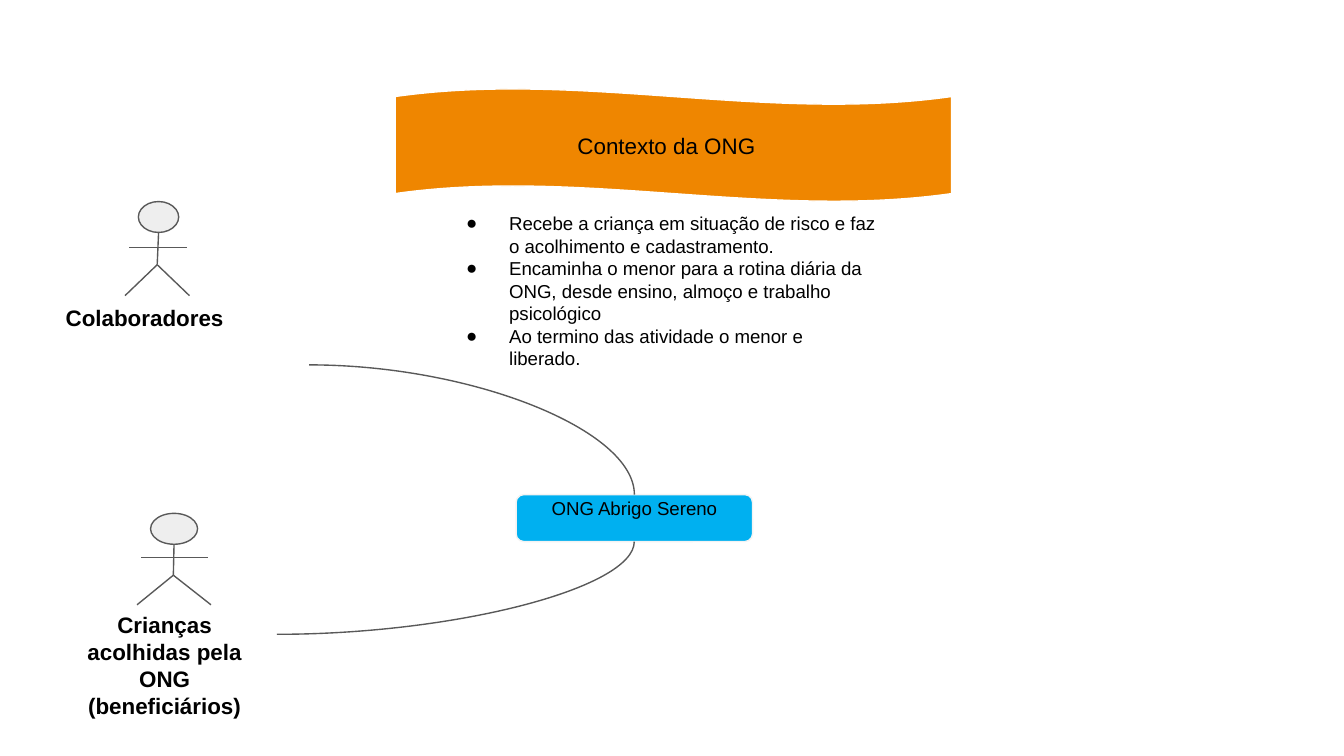
from lxml import etree
from pptx import Presentation
from pptx.dml.color import RGBColor
from pptx.enum.shapes import MSO_CONNECTOR, MSO_SHAPE
from pptx.enum.text import MSO_ANCHOR, PP_ALIGN
from pptx.oxml.ns import qn
from pptx.util import Inches, Pt

WAVE, ROUND, HEAD = MSO_SHAPE.WAVE, MSO_SHAPE.ROUNDED_RECTANGLE, MSO_SHAPE.FLOWCHART_CONNECTOR
LINE, CURVE = MSO_CONNECTOR.STRAIGHT, MSO_CONNECTOR.CURVE
LEFT, CENTER = PP_ALIGN.LEFT, PP_ALIGN.CENTER
TOP, MIDDLE = MSO_ANCHOR.TOP, MSO_ANCHOR.MIDDLE
ORANGE = RGBColor(0xEF, 0x86, 0x00)
BLUE = RGBColor(0x00, 0xB0, 0xF0)
PALE = RGBColor(0xEE, 0xEE, 0xEE)
MIST = RGBColor(0xF3, 0xF3, 0xF3)
GRAY = RGBColor(0x59, 0x59, 0x59)
WHITE = RGBColor(0xFF, 0xFF, 0xFF)
BLACK = RGBColor(0x00, 0x00, 0x00)
STEPS = [
    "Recebe a criança em situação de risco e faz o acolhimento e cadastramento.",
    "Encaminha o menor para a rotina diária da ONG, desde ensino, almoço e trabalho psicológico",
    "Ao termino das atividade o menor e liberado.",
]


def write(shape, *texts, size=12, bold=False, align=CENTER, anchor=TOP,
          pads=(0.1, 0.1, 0.1, 0.1), bullet=None):
    """Fill a shape with one formatted paragraph per text."""
    frame = shape.text_frame
    frame.word_wrap = True
    frame.vertical_anchor = anchor
    (frame.margin_left, frame.margin_top,
     frame.margin_right, frame.margin_bottom) = map(Inches, pads)
    for i, text in enumerate(texts):
        para = frame.add_paragraph() if i else frame.paragraphs[0]
        para.alignment = align
        run = para.add_run()
        run.text = text
        font = run.font
        font.name, font.size, font.bold = "Arial", Pt(size), bold
        font.color.rgb = BLACK
        if bullet:
            add_dot(para, bullet)


def add_dot(para, mark):
    """Give a paragraph a bullet and a hanging indent."""
    props = para._p.get_or_add_pPr()
    props.set("marL", str(Inches(0.5)))
    props.set("indent", str(Inches(-0.32)))
    tint = etree.SubElement(props, qn("a:buClr"))
    etree.SubElement(tint, qn("a:srgbClr")).set("val", str(BLACK))
    etree.SubElement(props, qn("a:buFont")).set("typeface", "Arial")
    etree.SubElement(props, qn("a:buChar")).set("char", mark)


def add_form(shapes, kind, box, fill, edge, *adjusts):
    """Add a filled preset shape."""
    form = shapes.add_shape(kind, *map(Inches, box))
    form.shadow.inherit = False
    form.fill.solid()
    form.fill.fore_color.rgb = fill
    form.line.color.rgb = edge
    form.line.width = Pt(0.75)
    for i, value in enumerate(adjusts):
        form.adjustments[i] = value
    return form


def add_line(shapes, start, end, kind=LINE):
    """Add a thin gray connector between two points."""
    line = shapes.add_connector(kind, *map(Inches, start + end))
    line.line.color.rgb = GRAY
    line.line.width = Pt(0.75)
    etree.SubElement(line._element.spPr, qn("a:effectLst"))
    return line


def add_label(shapes, box, *texts, **style):
    """Add a text box."""
    label = shapes.add_textbox(*map(Inches, box))
    write(label, *texts, **style)
    return label


def add_actor(slide, head, arms, hip, feet, box, name, align):
    """Add a grouped stick figure and return its label."""
    shapes = slide.shapes.add_group_shape().shapes
    add_form(shapes, HEAD, head, PALE, GRAY)
    left, top, width, height = head
    add_line(shapes, (left + width / 2, top + height), hip)
    x1, x2, y = arms
    add_line(shapes, (x1, y), (x2, y))
    x1, x2, y = feet
    for x in (x1, x2):
        add_line(shapes, hip, (x, y))
    return add_label(shapes, box, name, bold=True, align=align)


def add_link(slide, label, start, node, end, site):
    """Join the right side of a label to a site of the node."""
    link = add_line(slide.shapes, start, end, CURVE)
    link.begin_connect(label, 3)
    link.end_connect(node, site)
    link._element.spPr.find(qn("a:prstGeom")).set("prst", "curvedConnector2")


def main():
    """Build the slide."""
    deck = Presentation()
    deck.slide_width, deck.slide_height = Inches(10), Inches(10 * 9 / 16)
    slide = deck.slides.add_slide(deck.slide_layouts[6])
    shapes = slide.shapes

    banner = add_form(shapes, WAVE, (2.94, 0.66, 4.14, 0.84), ORANGE, WHITE, 0.07, 0)
    write(banner, "Contexto da ONG", anchor=MIDDLE, pads=(0.1, 0.1, 0.2, 0.1))
    node = add_form(shapes, ROUND, (3.84, 3.68, 1.76, 0.35), BLUE, MIST, 0.167)
    write(node, "ONG Abrigo Sereno", size=10, pads=(0.1, 0, 0.1, 0))

    kids = add_actor(slide, (1.12, 3.82, 0.35, 0.23), (1.05, 1.55, 4.15), (1.29, 4.28),
                     (1.02, 1.57, 4.5), (0.39, 4.45, 1.67, 0.54),
                     "Crianças acolhidas pela ONG (beneficiários)", CENTER)
    staff = add_actor(slide, (1.03, 1.5, 0.3, 0.23), (0.96, 1.39, 1.84), (1.17, 1.97),
                      (0.93, 1.41, 2.2), (0.39, 2.16, 1.91, 1.11),
                      "Colaboradores", LEFT)
    add_link(slide, staff, (2.3, 2.72), node, (4.72, 3.68), 0)
    add_link(slide, kids, (2.06, 4.72), node, (4.72, 4.03), 2)

    add_label(shapes, (3.19, 1.48, 3.43, 1.54), *STEPS, size=10, align=LEFT, bullet="●")
    deck.save("out.pptx")


main()
